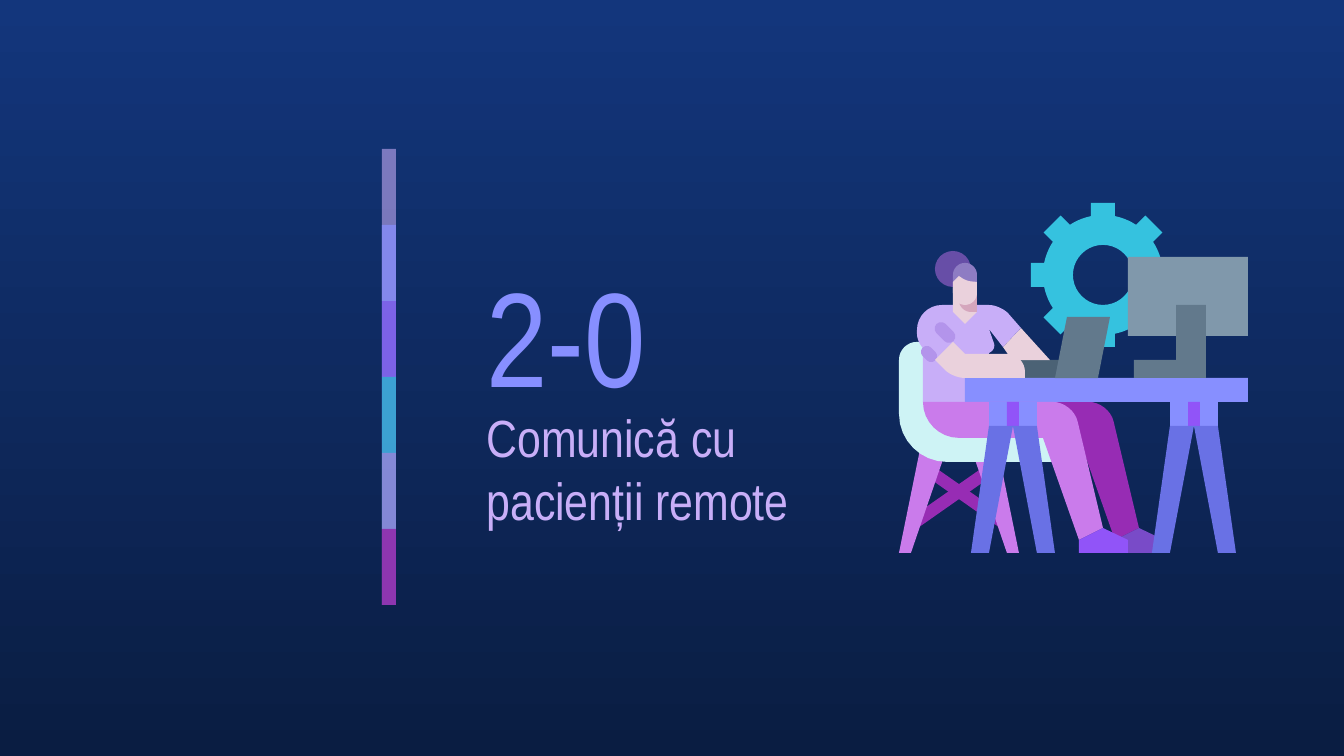
from math import asin, cos, hypot, pi, sin

from lxml.etree import SubElement
from pptx import Presentation
from pptx.dml.color import RGBColor
from pptx.enum.shapes import MSO_SHAPE
from pptx.enum.text import MSO_ANCHOR, MSO_AUTO_SIZE, PP_ALIGN
from pptx.oxml.ns import qn
from pptx.util import Pt

PX = 914400 / 134.4
SLIDE = (1344, 756)
RECT, OVAL, PILL = MSO_SHAPE.RECTANGLE, MSO_SHAPE.OVAL, MSO_SHAPE.ROUNDED_RECTANGLE


class Theme:
    font = "Arial Narrow"
    number_size, title_size = 72, 28
    sky, night = "13367C", "0A1D42"
    lilac, blue, violet, cyan = "C8AEF8", "878FFF", "9154F8", "35C2DF"
    orchid, purple, leg, shade = "CA7BEB", "972CB4", "6971E5", "B394EB"
    skin, neck_shadow, seat, far_shoe = "EAD1DC", "D5A6BD", "CEF3F5", "794BC8"
    bun, hair = "674EA7", "8E7CC3"
    screen, steel, dark_steel = "8098AB", "62798C", "4B6275"


NUMBER = ("2-0", (473, 243, 235, 182), Theme.number_size, Theme.blue)
TITLE = ("Comunică cu pacienții remote", (473, 423, 386, 90), Theme.title_size, Theme.lilac)

# Colour and opacity in percent, from top to bottom
STRIPE = [(Theme.lilac, 58), (Theme.blue, 73), (Theme.violet, 53),
          (Theme.cyan, 75), (Theme.orchid, 56), (Theme.purple, 74)]
STRIPE_LEFT, STRIPE_TOP, STRIPE_WIDTH, STRIPE_STEP = 382, 149, 14, 76


def shift(outline, dx):
    return [(x + dx, *rest) for x, *rest in outline]


def mirror(outline, axis):
    return [(2 * axis - x, *rest) for x, *rest in outline]


def ring(center, polar):
    return [(center[0] + r * cos(a), center[1] + r * sin(a)) for r, a in polar]


def gear(center, hole, body, tip, half_tooth, teeth=8, arc_steps=5):
    """Outlines of a cog (each tooth, then the arc to the next one) and its hole."""
    pitch, base, top = 2 * pi / teeth, asin(half_tooth / body), asin(half_tooth / tip)
    rim = []
    for tooth in range(teeth):
        middle = tooth * pitch
        rim += [(tip, middle - top), (tip, middle + top)]
        rim += [(body, middle + base + (pitch - 2 * base) * i / arc_steps)
                for i in range(arc_steps + 1)]
    steps = teeth * arc_steps
    return [ring(center, rim), ring(center, [(hole, 2 * pi * i / steps) for i in range(steps)])]


# An outline point is (x, y), or (x, y, radius) for a rounded corner
STOOL_AXIS, FAR_SIDE = 959, 36
STOOL_LEG = [(921, 445), (899, 553), (911, 553), (948, 445)]
STOOL_BRACE = [(992, 476), (985, 466), (909, 519), (915, 530)]
TROUSERS = [(923, 402), (923, 438, 36), (1043, 438), (1079, 540), (1103, 528), (1073, 402, 20)]
SHOE = [(1103, 528), (1079, 540), (1079, 553), (1128, 553), (1128, 540)]


def trestle(axis):
    support = [(axis - 24, 426), (axis - 42, 553), (axis - 24, 553), (axis, 426)]
    return [(Theme.blue, RECT, (axis - 24, 402, 48, 24)),
            (Theme.violet, RECT, (axis - 6, 402, 12, 24)),
            (Theme.leg, None, [support]),
            (Theme.leg, None, [mirror(support, axis)])]


# Colour, preset (None for outlines), then a box or a list of outlines
ILLUSTRATION = [
    (Theme.cyan, None, gear((1103, 275), hole=30, body=60, tip=73, half_tooth=12)),
    (Theme.dark_steel, RECT, (1019, 360, 43, 18)),
    (Theme.purple, None, [STOOL_BRACE]),
    (Theme.purple, None, [mirror(STOOL_BRACE, STOOL_AXIS)]),
    (Theme.orchid, None, [STOOL_LEG]),
    (Theme.orchid, None, [mirror(STOOL_LEG, STOOL_AXIS)]),
    (Theme.seat, None, [[(899, 342, 18), (899, 462, 48), (1062, 462), (1062, 433),
                         (929, 433, 30), (929, 342)]]),
    (Theme.purple, None, [shift(TROUSERS, FAR_SIDE)]),
    (Theme.far_shoe, None, [shift(SHOE, FAR_SIDE)]),
    (Theme.skin, None, [[(1003, 347), (1012, 360), (1050, 360), (1021, 328)]]),
    (Theme.lilac, None, [[(917, 305, 25), (917, 342, 8), (923, 348), (923, 402), (989, 402),
                          (989, 353), (996, 349, 6), (989, 329), (1003, 347), (1021, 328),
                          (1001, 305, 12)]]),
    (Theme.blue, RECT, (965, 378, 283, 24)),
    (Theme.shade, PILL, (920, 348, 18, 12)),
    (Theme.shade, PILL, (933, 326, 24, 13)),
    (Theme.skin, None, [[(953, 288), (953, 312), (965, 324), (977, 312), (977, 288)]]),
    (Theme.skin, None, [[(953, 342), (935, 360), (953, 378, 11), (1025, 378),
                         (1025, 354, 18), (965, 354)]]),
    (Theme.steel, None, [[(1067, 317), (1055, 378), (1098, 378), (1110, 317)]]),
    (Theme.orchid, None, [TROUSERS]),
    (Theme.violet, None, [SHOE]),
    (Theme.screen, RECT, (1128, 257, 120, 79)),
    (Theme.steel, RECT, (1176, 305, 30, 73)),
    (Theme.steel, RECT, (1134, 360, 72, 18)),
    *trestle(1194),
    *trestle(1013),
    (Theme.neck_shadow, None, [[(959, 288), (959, 312, 12), (977, 312), (977, 288)]]),
    (Theme.bun, OVAL, (935, 251, 36, 36)),
    (Theme.hair, None, [[(953, 263, 12), (953, 288), (977, 288), (977, 263, 12)]]),
    (Theme.skin, None, [[(959, 276), (953, 282), (953, 305, 12), (977, 305, 12),
                         (977, 282), (966, 281, 5)]]),
]


def emu(lengths):
    return [round(v * PX) for v in lengths]


def toward(start, end, share):
    return tuple(a + (b - a) * share for a, b in zip(start, end))


def round_corners(outline, steps=8):
    """Turn each (x, y, radius) corner into a curve of short straight lines."""
    points = []
    for i, (x, y, *radius) in enumerate(outline):
        corner = (x, y)
        if not radius:
            points.append(corner)
            continue
        start, end = [toward(corner, near[:2], radius[0] / hypot(near[0] - x, near[1] - y))
                      for near in (outline[i - 1], outline[(i + 1) % len(outline)])]
        bend = [toward(start, corner, 0.55), toward(end, corner, 0.55)]
        for t in (step / steps for step in range(steps + 1)):
            curve = [start, *bend, end]
            while len(curve) > 1:
                curve = [toward(a, b, t) for a, b in zip(curve, curve[1:])]
            points += curve
    return [tuple(emu(point)) for point in points]


def paint(shape, colour, opacity=100):
    shape.shadow.inherit = False
    shape.line.fill.background()
    shape.fill.solid()
    shape.fill.fore_color.rgb = RGBColor.from_string(colour)
    if opacity < 100:
        rgb = shape.fill._xPr.find(".//" + qn("a:srgbClr"))
        SubElement(rgb, qn("a:alpha"), val=str(opacity * 1000))


def draw(shapes, colour, preset, geometry):
    if preset is None:
        first, *holes = [round_corners(outline) for outline in geometry]
        builder = shapes.build_freeform(*first[0])
        builder.add_line_segments(first[1:], close=True)
        for hole in holes:
            builder.move_to(*hole[0])
            builder.add_line_segments(hole[1:], close=True)
        part = builder.convert_to_shape()
    else:
        part = shapes.add_shape(preset, *emu(geometry))
        if preset == PILL:
            part.adjustments[0] = 0.5
            part.rotation = 45
    paint(part, colour)


def write(holder, text, box, size, colour):
    holder.left, holder.top, holder.width, holder.height = emu(box)
    frame = holder.text_frame
    frame.word_wrap = True
    frame.auto_size = MSO_AUTO_SIZE.NONE
    frame.vertical_anchor = MSO_ANCHOR.MIDDLE
    frame.margin_left = frame.margin_right = frame.margin_top = frame.margin_bottom = Pt(7.2)
    paragraph = frame.paragraphs[0]
    paragraph.alignment = PP_ALIGN.LEFT
    run = paragraph.add_run()
    run.text = text
    run.font.name, run.font.size = Theme.font, Pt(size)
    run.font.color.rgb = RGBColor.from_string(colour)


def main():
    deck = Presentation()
    deck.slide_width, deck.slide_height = emu(SLIDE)
    slide = deck.slides.add_slide(deck.slide_layouts[5])

    backdrop = slide.background.fill
    backdrop.gradient()
    backdrop.gradient_angle = 270
    for stop, position, colour in zip(backdrop.gradient_stops, (0, 1), (Theme.sky, Theme.night)):
        stop.position = position
        stop.color.rgb = RGBColor.from_string(colour)

    stripe = slide.shapes.add_group_shape().shapes
    for i, (colour, opacity) in enumerate(STRIPE):
        steps = min(2, len(STRIPE) - i)
        box = (STRIPE_LEFT, STRIPE_TOP + i * STRIPE_STEP, STRIPE_WIDTH, steps * STRIPE_STEP)
        paint(stripe.add_shape(RECT, *emu(box)), colour, opacity)

    write(slide.shapes.title, *TITLE)
    write(slide.shapes.add_textbox(0, 0, 0, 0), *NUMBER)

    illustration = slide.shapes.add_group_shape().shapes
    for part in ILLUSTRATION:
        draw(illustration, *part)

    deck.save("out.pptx")


if __name__ == "__main__":
    main()
